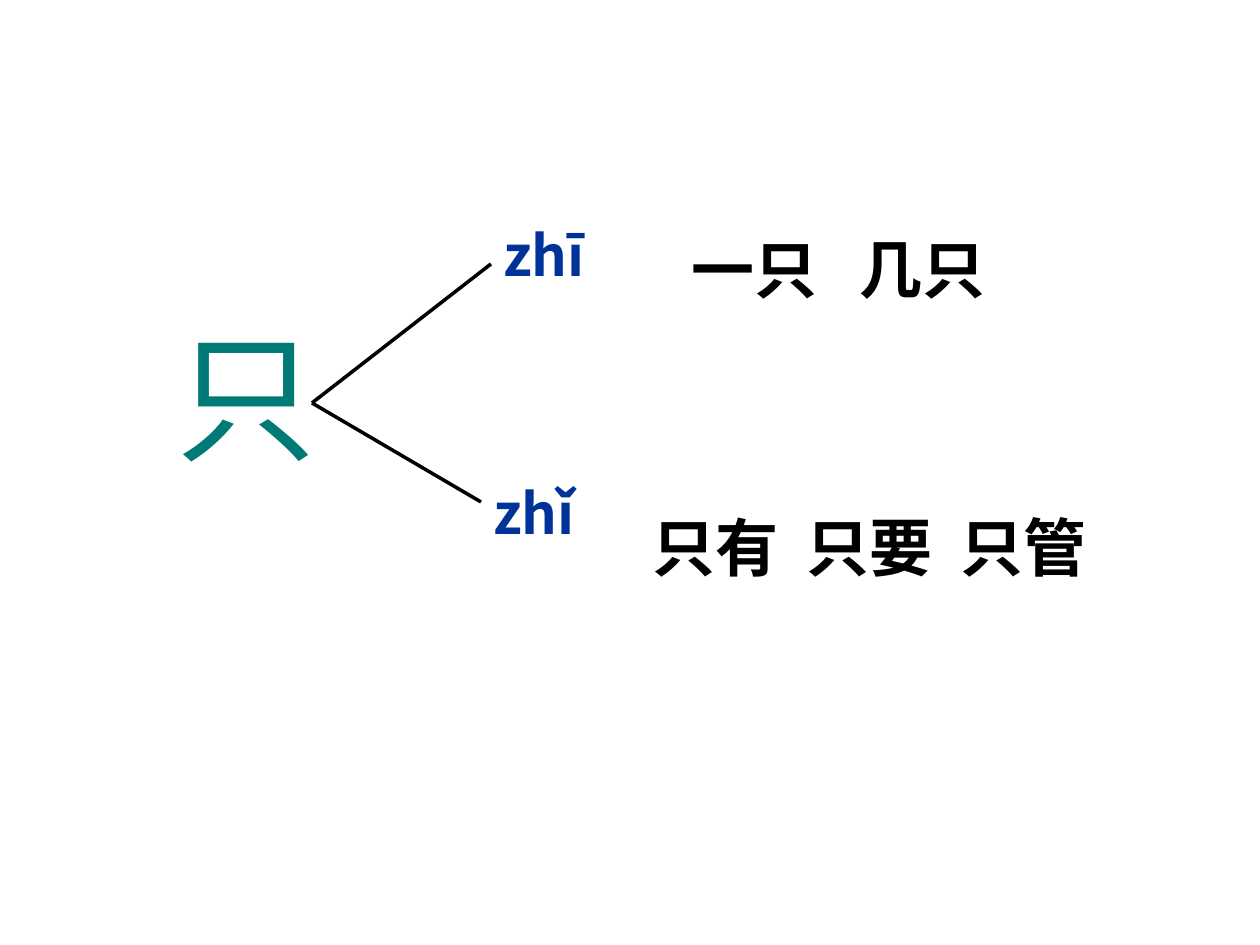
"""Build a slide on the two readings of the character 只 and their words."""
from dataclasses import dataclass

from lxml.etree import SubElement
from pptx import Presentation
from pptx.dml.color import RGBColor
from pptx.enum.shapes import MSO_CONNECTOR
from pptx.enum.text import MSO_AUTO_SIZE
from pptx.oxml.ns import qn
from pptx.slide import Slide
from pptx.util import Pt

PX = 914400 // 126
CJK_FONT = "Noto Sans CJK SC"
TEAL, BLUE, BLACK = "007A77", "003399", "000000"


@dataclass(frozen=True)
class Label:
    words: tuple[str, ...]
    left: int
    top: int
    width: int
    height: int
    size: int
    color: str
    font: str = CJK_FONT
    bold: bool = True
    word_step: int = 0


@dataclass(frozen=True)
class Branch:
    end_x: int
    end_y: int
    reading: Label
    examples: Label


FORK_X, FORK_Y = 312, 403
CHARACTER = Label(("只",), 164, 304, 208, 180, 80, TEAL, "Arial", False)
BRANCHES = (
    Branch(
        491, 264,
        Label(("zhī",), 491, 214, 139, 79, 32, BLUE),
        Label(("一只", "几只"), 679, 224, 437, 88, 36, BLACK, word_step=168),
    ),
    Branch(
        481, 502,
        Label(("zhǐ",), 481, 472, 149, 79, 32, BLUE),
        Label(("只有", "只要", "只管"), 640, 502, 566, 88, 36, BLACK, word_step=154),
    ),
)


def rgb(color: str) -> RGBColor:
    """Turn a hex string into a colour."""
    return RGBColor.from_string(color)


def draw_label(slide: Slide, label: Label) -> None:
    """Write the words of a label at equal steps on one line."""
    box = slide.shapes.add_textbox(
        label.left * PX, label.top * PX, label.width * PX, label.height * PX
    )
    frame = box.text_frame
    frame.word_wrap = True
    frame.auto_size = MSO_AUTO_SIZE.SHAPE_TO_FIT_TEXT
    line = frame.paragraphs[0]
    line.text = "\t".join(label.words)

    properties = line._p.get_or_add_pPr()
    spacing = SubElement(properties, qn("a:spcBef"))
    SubElement(spacing, qn("a:spcPct"), val="50000")
    if label.word_step:
        stops = SubElement(properties, qn("a:tabLst"))
        for index in range(1, len(label.words)):
            position = str(index * label.word_step * PX)
            SubElement(stops, qn("a:tab"), pos=position, algn="l")

    line.font.name = label.font
    line.font.size = Pt(label.size)
    line.font.bold = label.bold
    line.font.color.rgb = rgb(label.color)
    SubElement(properties.find(qn("a:defRPr")), qn("a:ea"), typeface=label.font)


def draw_branch(slide: Slide, branch: Branch) -> None:
    """Draw the line from the fork to a reading, with its example words."""
    stroke = slide.shapes.add_connector(
        MSO_CONNECTOR.STRAIGHT,
        FORK_X * PX, FORK_Y * PX, branch.end_x * PX, branch.end_y * PX,
    )
    stroke.line.color.rgb = rgb(BLACK)
    stroke.line.width = Pt(2)
    SubElement(stroke._element.spPr, qn("a:effectLst"))
    draw_label(slide, branch.reading)
    draw_label(slide, branch.examples)


def main() -> None:
    """Build and save the slide."""
    presentation = Presentation()
    presentation.slide_width = 1260 * PX
    presentation.slide_height = 945 * PX
    slide = presentation.slides.add_slide(presentation.slide_layouts[6])
    draw_label(slide, CHARACTER)
    for branch in BRANCHES:
        draw_branch(slide, branch)
    presentation.save("out.pptx")


if __name__ == "__main__":
    main()
